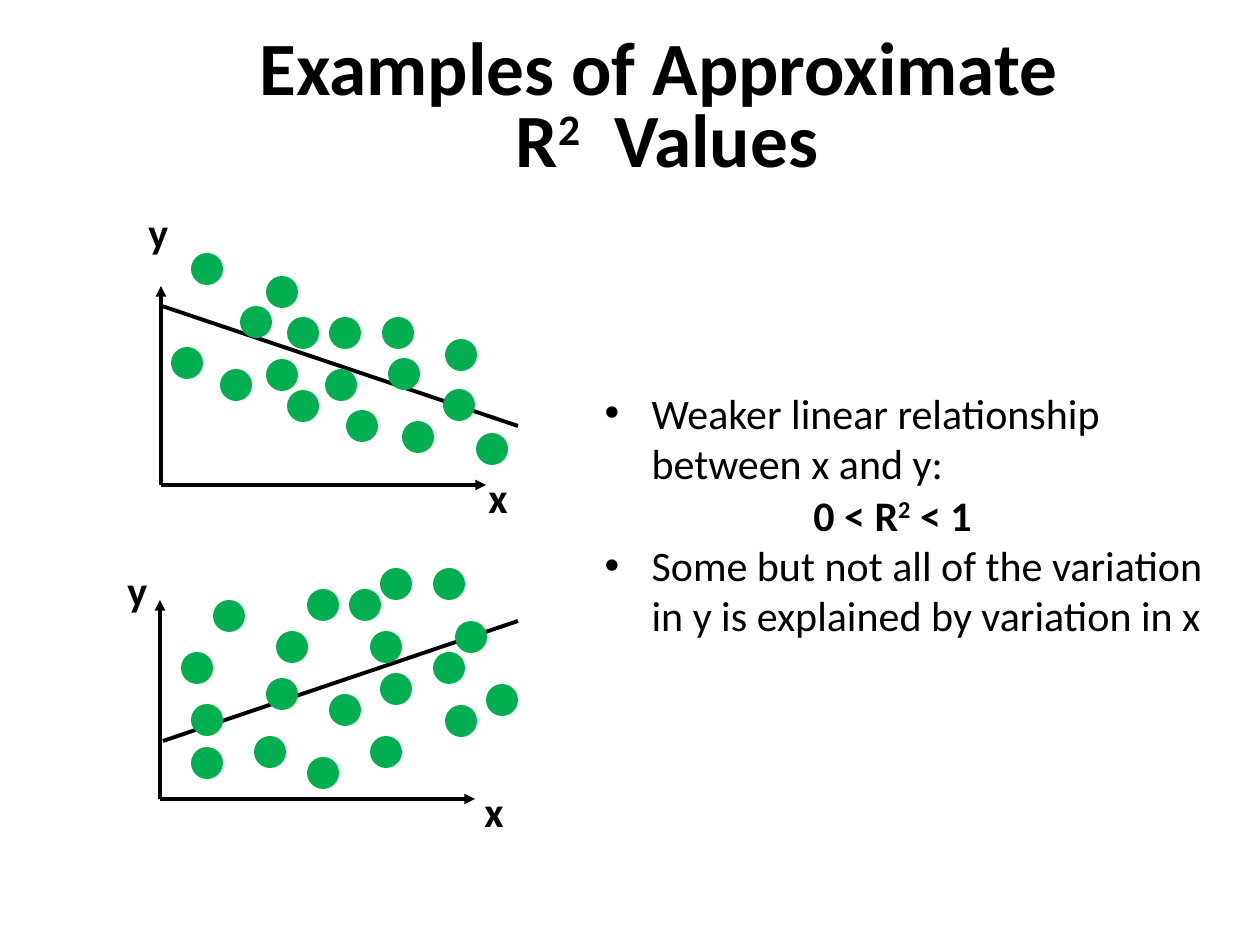
import dataclasses
import pptx
import pptx.util
import pptx.dml.color
import pptx.enum.shapes
import pptx.enum.text
import lxml.etree

SCALE = 914400 / 126
SHAPE = pptx.enum.shapes.MSO_SHAPE
ALIGN = pptx.enum.text.PP_ALIGN
ANCHOR = pptx.enum.text.MSO_ANCHOR
FIT = pptx.enum.text.MSO_AUTO_SIZE


@dataclasses.dataclass(frozen=True)
class Theme:
    face: str = "Calibri"
    ink: str = "000000"
    dot: str = "00B050"
    title: float = 43
    body: float = 24
    axis: float = 2
    trend: float = 2.25


THEME = Theme()


def px(count):
    return pptx.util.Emu(round(count * SCALE))


def color(code):
    return pptx.dml.color.RGBColor.from_string(code)


def place(shape, box):
    shape.left, shape.top, shape.width, shape.height = map(px, box)


def style(para, size, bold=False):
    font = para.font
    font.name, font.size, font.bold = THEME.face, pptx.util.Pt(size), bold
    font.color.rgb = color(THEME.ink)


def raised(para, base, power, rest):
    para.add_run().text = base
    run = para.add_run()
    run.text = power
    run.font._element.set("baseline", "30000")
    para.add_run().text = rest


def label(slide, box):
    shape = slide.shapes.add_textbox(*map(px, box))
    shape.text_frame.word_wrap = False
    para = shape.text_frame.paragraphs[0]
    style(para, THEME.body, True)
    return para


def line(slide, start, end, width, arrow=False):
    stroke = slide.shapes.add_connector(
        pptx.enum.shapes.MSO_CONNECTOR.STRAIGHT, *map(px, start + end))
    stroke.line.color.rgb = color(THEME.ink)
    stroke.line.width = pptx.util.Pt(width)
    space = pptx.oxml.ns.qn
    if arrow:
        tail = lxml.etree.SubElement(stroke.line._get_or_add_ln(), space("a:tailEnd"))
        tail.set("type", "triangle")
    lxml.etree.SubElement(stroke._element.spPr, space("a:effectLst"))


def plot(slide, box, trend, dots, marks):
    left, top, width, height = box

    def at(point):
        return left + point[0], top + point[1]

    line(slide, at((0, height)), at((0, 0)), THEME.axis, True)
    line(slide, at((0, height)), at((width, height)), THEME.axis, True)
    line(slide, at(trend[0]), at(trend[1]), THEME.trend)
    size = 32
    for point in dots:
        x, y = at(point)
        dot = slide.shapes.add_shape(
            SHAPE.OVAL, px(x - size / 2), px(y - size / 2), px(size), px(size))
        dot.shadow.inherit = False
        dot.fill.solid()
        dot.fill.fore_color.rgb = color(THEME.dot)
        dot.line.fill.background()
    for text, point in marks.items():
        label(slide, at(point) + (49, 63)).add_run().text = text


def heading(slide, box):
    title = slide.shapes.title
    place(title, box)
    frame = title.text_frame
    frame.auto_size = FIT.NONE
    frame.vertical_anchor = ANCHOR.MIDDLE
    para = frame.paragraphs[0]
    para.alignment = ALIGN.CENTER
    para.line_spacing = 0.8
    style(para, THEME.title, True)
    para.add_run().text = "Examples of Approximate "
    para.add_line_break()
    raised(para, "R", "2", "  Values")


def notes(slide, box):
    left, top, width, height = box
    body = slide.placeholders[1]
    place(body, box)
    frame = body.text_frame
    frame.auto_size = FIT.NONE
    frame.vertical_anchor = ANCHOR.TOP
    lines = (
        ("Weaker linear relationship between x and y:", 0),
        ("Some but not all of the variation in y is explained by variation in x", 29.3),
    )
    for index, (text, gap) in enumerate(lines):
        para = frame.add_paragraph() if index else frame.paragraphs[0]
        para.text = text
        para.space_before = pptx.util.Pt(gap)
        style(para, THEME.body)
        props = para._p.get_or_add_pPr()
        props.set("marL", str(px(47)))
        props.set("indent", str(px(-47)))
    raised(label(slide, (left + 209, top + 102, 213, 63)), "0 < R", "2", " < 1")


FALL = (
    (331, 163), (298, 119), (46, -17), (95, 36), (257, 151), (26, 77),
    (201, 140), (121, 6), (237, 47), (300, 69), (75, 99), (184, 47),
    (121, 89), (180, 99), (243, 88), (142, 47), (142, 120),
)
RISE = (
    (47, 163), (47, 120), (289, -16), (311, 37), (110, 152), (289, 68),
    (226, 152), (236, -16), (163, 5), (37, 68), (69, 16), (122, 94),
    (236, 89), (185, 110), (163, 173), (342, 100), (226, 47), (205, 5),
    (132, 47), (301, 121),
)

deck = pptx.Presentation()
deck.slide_width, deck.slide_height = px(1260), px(945)
slide = deck.slides.add_slide(deck.slide_layouts[1])
heading(slide, (74, 42, 1186, 136))
plot(slide, (161, 286, 325, 199), ((1, 20), (357, 140)), FALL,
     {"y": (-25, -86), "x": (315, 179)})
plot(slide, (160, 600, 315, 199), ((3, 141), (358, 21)), RISE,
     {"y": (-45, -42), "x": (312, 179)})
notes(slide, (592, 381, 654, 267))
deck.save("out.pptx")
